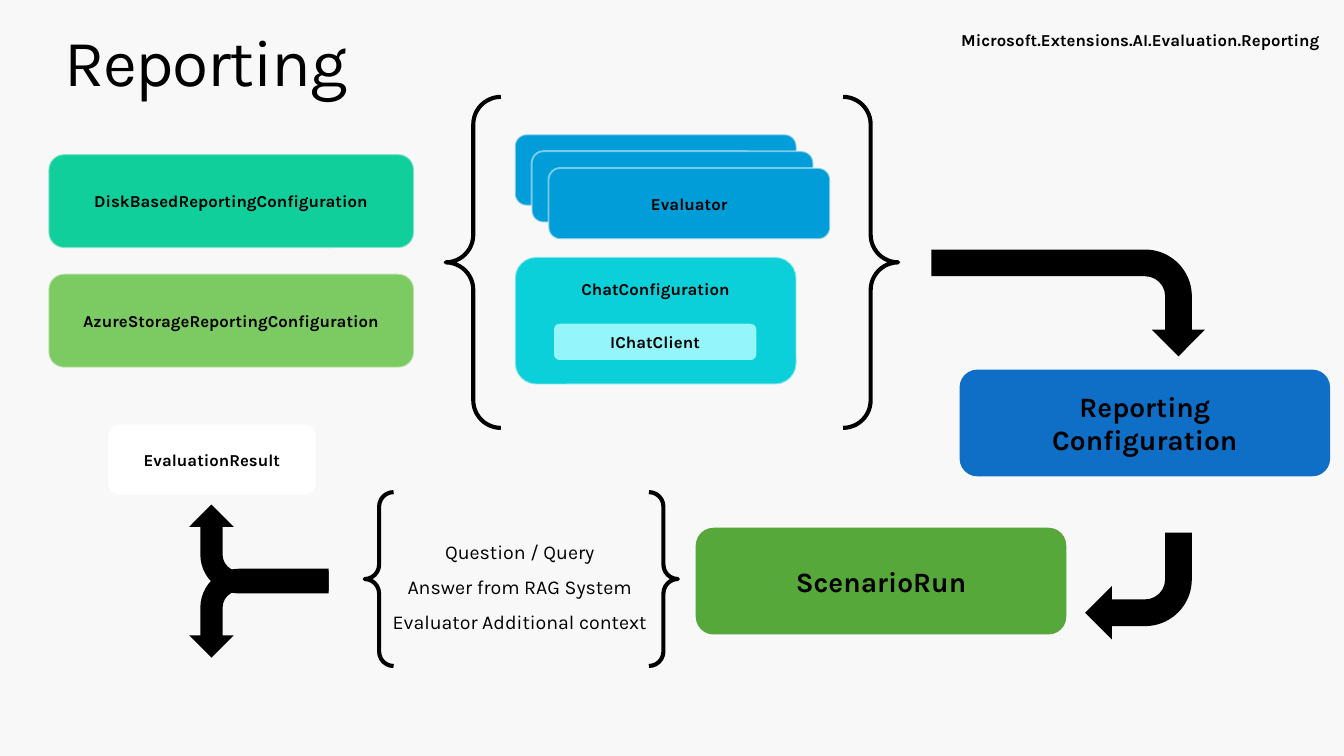
import dataclasses

import pptx
import pptx.dml.color
import pptx.enum.shapes
import pptx.enum.text
import pptx.oxml
import pptx.oxml.ns
import pptx.util

Inches = pptx.util.Inches
Pt = pptx.util.Pt
SHAPE = pptx.enum.shapes.MSO_SHAPE
ALIGN = pptx.enum.text.PP_ALIGN
ANCHOR = pptx.enum.text.MSO_ANCHOR


@dataclasses.dataclass(frozen=True)
class Theme:
    font: str = "Karla"
    background: str = "F8F8F8"
    ink: str = "000000"
    outline: str = "F9F9F9"
    disk: str = "10CF9B"
    storage: str = "7CCA62"
    evaluator: str = "009DD9"
    chat: str = "0BD0D9"
    client: str = "94F5FA"
    reporting: str = "0F6FC6"
    scenario: str = "55A839"
    result: str = "FFFFFF"
    title_size: float = 48
    stage_size: float = 20.4
    context_size: float = 14.3
    label_size: float = 12.2
    outline_width: float = 1.35
    brace_width: float = 3


def rgb(code):
    return pptx.dml.color.RGBColor.from_string(code)


class DiagramSlide:
    def __init__(self, presentation, theme):
        self.theme = theme
        self.slide = presentation.slides.add_slide(presentation.slide_layouts[6])
        fill = self.slide.background.fill
        fill.solid()
        fill.fore_color.rgb = rgb(theme.background)

    def set_text(self, frame, text, size, bold=False, align=ALIGN.CENTER,
                 spacing=None, margins=(0.1, 0.05), tracking=None):
        """Fill a text frame; tracking is in hundredths of a point."""
        frame.word_wrap = True
        frame.margin_left = frame.margin_right = Inches(margins[0])
        frame.margin_top = frame.margin_bottom = Inches(margins[1])
        frame.text = text
        for paragraph in frame.paragraphs:
            paragraph.alignment = align
            if spacing:
                paragraph.line_spacing = spacing
            for run in paragraph.runs:
                run.font.name = self.theme.font
                run.font.size = Pt(size)
                run.font.bold = bold
                run.font.color.rgb = rgb(self.theme.ink)
                if tracking:
                    run.font._element.set("spc", str(tracking))

    def text(self, bounds, text, size, grow=True, **style):
        box = self.slide.shapes.add_textbox(*map(Inches, bounds))
        self.set_text(box.text_frame, text, size, **style)
        if grow:
            box.text_frame.auto_size = pptx.enum.text.MSO_AUTO_SIZE.SHAPE_TO_FIT_TEXT

    def shape(self, kind, bounds, fill=None, line=None, width=0):
        item = self.slide.shapes.add_shape(kind, *map(Inches, bounds))
        item.shadow.inherit = False
        for part, color in ((item.fill, fill), (item.line.fill, line)):
            if color:
                part.solid()
                part.fore_color.rgb = rgb(color)
            else:
                part.background()
        if line:
            item.line.width = Pt(width)
        return item

    def card(self, bounds, fill, label="", size=None, line=None, width=0,
             anchor=ANCHOR.MIDDLE):
        box = self.shape(SHAPE.ROUNDED_RECTANGLE, bounds, fill, line, width)
        if label:
            self.set_text(box.text_frame, label, size or self.theme.label_size,
                          bold=True, margins=(0.2, 0.16))
            box.text_frame.vertical_anchor = anchor
        return box

    def outlined_card(self, bounds, fill, label="", **options):
        """Card with a half-transparent pale outline."""
        box = self.card(bounds, fill, label, line=self.theme.outline,
                        width=self.theme.outline_width, **options)
        outline = box._element.spPr.find(pptx.oxml.ns.qn("a:ln"))
        color = outline.find(".//" + pptx.oxml.ns.qn("a:srgbClr"))
        color.append(pptx.oxml.parse_xml(
            f'<a:alpha {pptx.oxml.ns.nsdecls("a")} val="50000"/>'))

    def braces(self, bounds):
        self.shape(SHAPE.DOUBLE_BRACE, bounds, line=self.theme.ink,
                   width=self.theme.brace_width)

    def bent_arrow(self, bounds, rotation, flipped=False):
        arrow = self.shape(SHAPE.BENT_ARROW, bounds, fill=self.theme.ink)
        arrow.rotation = rotation
        if flipped:
            arrow._element.spPr.xfrm.set("flipV", "1")


def main():
    presentation = pptx.Presentation()
    presentation.slide_width = Inches(13.6)
    presentation.slide_height = Inches(7.65)
    theme = Theme()
    diagram = DiagramSlide(presentation, theme)

    diagram.text((0.49, 0.2, 12.43, 0.85), "Reporting", theme.title_size, grow=False,
                 align=ALIGN.LEFT, spacing=0.9, margins=(0.16, 0.1), tracking=-100)
    diagram.text((7.43, 0.25, 6.03, 0.31), "Microsoft.Extensions.AI.Evaluation.Reporting",
                 theme.label_size, bold=True, align=ALIGN.RIGHT)

    stores = (("DiskBasedReportingConfiguration", theme.disk),
              ("AzureStorageReportingConfiguration", theme.storage))
    for row, (store, color) in enumerate(stores):
        diagram.outlined_card((0.49, 1.56 + 1.21 * row, 3.7, 0.95), color, store)

    diagram.braces((4.51, 0.98, 4.58, 3.35))
    for layer, label in enumerate(("", "", "Evaluator")):
        offset = 0.17 * layer
        diagram.outlined_card((5.21 + offset, 1.36 + offset, 2.85, 0.72),
                              theme.evaluator, label)
    diagram.outlined_card((5.21, 2.6, 2.85, 1.29), theme.chat, "ChatConfiguration",
                          anchor=ANCHOR.TOP)
    diagram.card((5.6, 3.27, 2.06, 0.38), theme.client, "IChatClient",
                 line=theme.chat, width=0.75)

    diagram.bent_arrow((10.27, 1.68, 1.08, 2.77), 90)
    diagram.card((9.71, 3.74, 3.75, 1.08), theme.reporting, "Reporting Configuration",
                 theme.stage_size)
    diagram.bent_arrow((10.98, 5.39, 1.08, 1.08), 180)
    diagram.card((7.04, 5.34, 3.75, 1.08), theme.scenario, "ScenarioRun",
                 theme.stage_size)

    diagram.braces((3.69, 4.98, 3.17, 1.76))
    diagram.text((3.83, 5.34, 2.86, 1.04),
                 "Question / Query\nAnswer from RAG System\nEvaluator Additional context",
                 theme.context_size, spacing=1.5, margins=(0, 0))

    diagram.outlined_card((1.09, 4.29, 2.11, 0.72), theme.result, "EvaluationResult")
    diagram.bent_arrow((2.17, 4.85, 0.9, 1.41), 270)
    diagram.bent_arrow((2.17, 5.5, 0.9, 1.41), 90, flipped=True)

    presentation.save("out.pptx")


if __name__ == "__main__":
    main()
